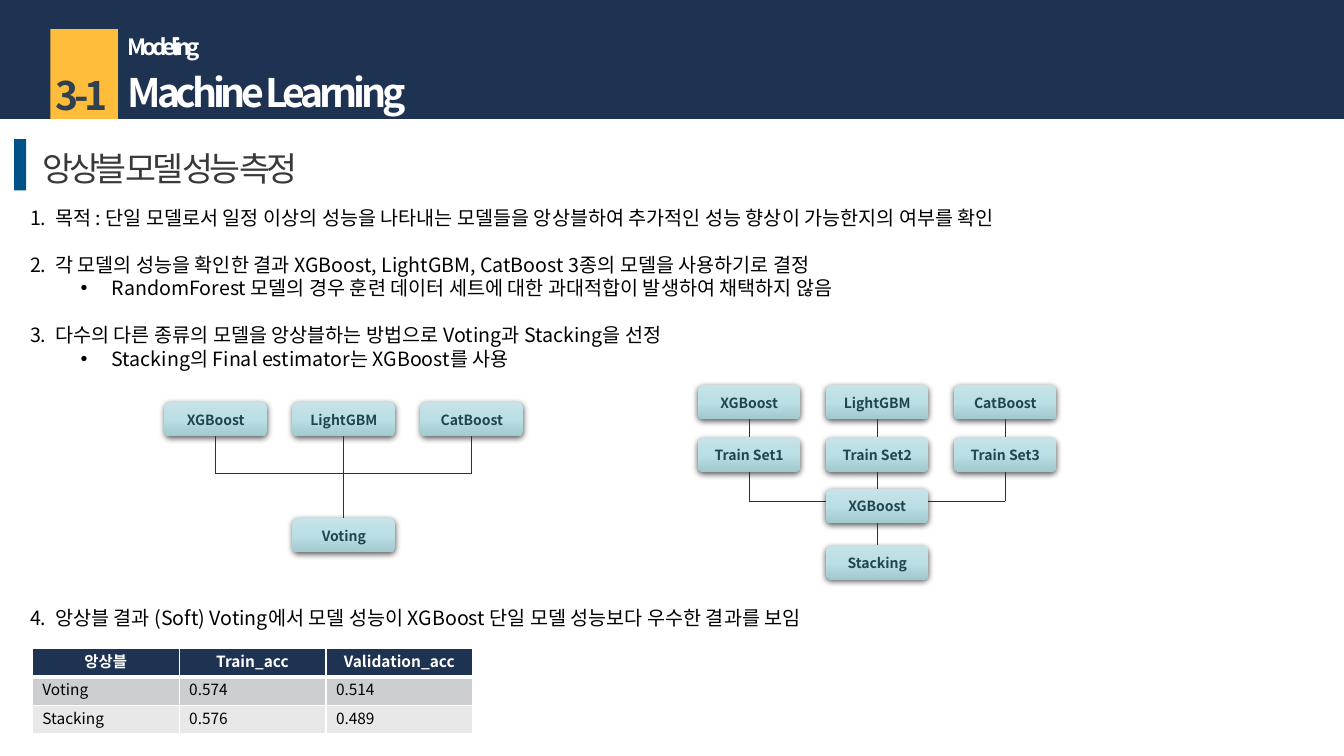
from lxml.etree import SubElement
from pptx import Presentation
from pptx.dml.color import RGBColor
from pptx.enum.shapes import MSO_CONNECTOR as Connector, MSO_SHAPE as Shape
from pptx.enum.text import MSO_ANCHOR as Anchor, MSO_AUTO_SIZE as AutoSize, PP_ALIGN as Align
from pptx.oxml import parse_xml
from pptx.oxml.ns import nsdecls, qn
from pptx.util import Inches, Pt

FONT = "Noto Sans CJK KR"
COLORS = {
    "navy": "1E3252", "amber": "FFBD3B", "accent": "005289", "white": "FFFFFF",
    "black": "000000", "title": "393939", "number": "30404F", "node_text": "20454E",
    "row_dark": "CDCED1", "row_light": "E8E8E9",
    "node_top": "C6E3E8", "node_middle": "BADFE5", "node_bottom": "A2C9CE",
}
SLIDE_W, SLIDE_H = 13.33, 7.5

# Grid of the model diagrams
NODE_W, NODE_H, COLUMN = 1.02, 0.34, 1.27
VOTING_LEFT, STACKING_LEFT = 1.63, 6.92
MODELS = ["XGBoost", "LightGBM", "CatBoost"]

# Findings: text, level, empty lines above
LINE = 16.8
FINDINGS = [
    ("목적 : 단일 모델로서 일정 이상의 성능을 나타내는 모델들을 앙상블하여 추가적인 성능 향상이 가능한지의 여부를 확인", 0, 0),
    ("각 모델의 성능을 확인한 결과 XGBoost, LightGBM, CatBoost 3종의 모델을 사용하기로 결정", 0, 1),
    ("RandomForest 모델의 경우 훈련 데이터 세트에 대한 과대적합이 발생하여 채택하지 않음", 1, 0),
    ("다수의 다른 종류의 모델을 앙상블하는 방법으로 Voting과 Stacking을 선정", 0, 1),
    ("Stacking의 Final estimator는 XGBoost를 사용", 1, 0),
    ("앙상블 결과 (Soft) Voting에서 모델 성능이 XGBoost 단일 모델 성능보다 우수한 결과를 보임", 0, 10),
]
SCORES = [
    ["앙상블", "Train_acc", "Validation_acc"],
    ["Voting", "0.574", "0.514"],
    ["Stacking", "0.576", "0.489"],
]


def rgb(name):
    return RGBColor.from_string(COLORS[name])


def style(paragraph, size, color, bold=False, align=Align.LEFT, spacing=0, leading=1.25):
    paragraph.alignment = align
    paragraph.line_spacing = Pt(size * leading)
    for run in paragraph.runs:
        run.font.size, run.font.bold, run.font.name = Pt(size), bold, FONT
        run.font.color.rgb = rgb(color)
        props = run.font._element
        SubElement(props, qn("a:ea")).set("typeface", FONT)
        if spacing:
            props.set("spc", str(spacing * 100))


def add_bar(slide, left, top, width, height, color):
    bar = slide.shapes.add_shape(
        Shape.RECTANGLE, Inches(left), Inches(top), Inches(width), Inches(height))
    bar.shadow.inherit = False
    bar.fill.solid()
    bar.fill.fore_color.rgb = rgb(color)
    bar.line.fill.background()


def add_label(slide, text, left, top, width, height, size, color, align=Align.LEFT):
    label = slide.shapes.add_textbox(
        Inches(left), Inches(top), Inches(width), Inches(height)).text_frame
    label.word_wrap = True
    label.text = text
    style(label.paragraphs[0], size, color, True, align, -3)


def set_title(slide, text):
    title = slide.shapes.title
    title.left, title.top = Inches(0.32), Inches(1.4)
    title.width, title.height = Inches(3.08), Inches(0.5)
    frame = title.text_frame
    frame.text = text
    frame.word_wrap, frame.auto_size = False, AutoSize.NONE
    frame.vertical_anchor = Anchor.TOP
    style(frame.paragraphs[0], 24, "title", spacing=-3)


def add_findings(slide):
    frame = slide.shapes.add_textbox(
        Inches(0.2), Inches(1.99), Inches(12.75), Inches(4.34)).text_frame
    frame.word_wrap = True
    for index, (text, level, gap) in enumerate(FINDINGS):
        finding = frame.add_paragraph() if index else frame.paragraphs[0]
        finding.text, finding.level = text, level
        finding.space_before = Pt(gap * LINE)
        style(finding, 14, "black", leading=1.2)
        props = finding._p.get_or_add_pPr()
        indent, hanging = (0.81, 0.31) if level else (0.25, 0.25)
        props.set("marL", str(Inches(indent)))
        props.set("indent", str(-Inches(hanging)))
        if level:
            SubElement(props, qn("a:buFont")).set("typeface", "Arial")
            SubElement(props, qn("a:buChar")).set("char", "•")
        else:
            SubElement(props, qn("a:buAutoNum")).set("type", "arabicPeriod")


def add_node(slide, text, left, column, top):
    node = slide.shapes.add_shape(
        Shape.ROUNDED_RECTANGLE, Inches(left + column * COLUMN), Inches(top),
        Inches(NODE_W), Inches(NODE_H))
    node.line.fill.background()
    stops = "".join(
        f'<a:gs pos="{pos}"><a:srgbClr val="{COLORS[name]}"/></a:gs>'
        for pos, name in [(0, "node_top"), (50000, "node_middle"), (100000, "node_bottom")])
    props = node._element.spPr
    props.insert(2, parse_xml(
        f'<a:gradFill {nsdecls("a")}><a:gsLst>{stops}</a:gsLst>'
        '<a:lin ang="5400000" scaled="0"/></a:gradFill>'))
    props.append(parse_xml(
        f'<a:effectLst {nsdecls("a")}><a:outerShdw blurRad="{Pt(4.5)}" dist="{Pt(1.5)}" '
        f'dir="5400000" rotWithShape="0"><a:srgbClr val="{COLORS["black"]}">'
        '<a:alpha val="63000"/></a:srgbClr></a:outerShdw></a:effectLst>'))
    frame = node.text_frame
    frame.text = text
    frame.word_wrap, frame.vertical_anchor = False, Anchor.MIDDLE
    style(frame.paragraphs[0], 10, "node_text", True, Align.CENTER)
    return node


def add_row(slide, names, left, top):
    return [add_node(slide, name, left, column, top) for column, name in enumerate(names)]


def add_line(slide, x1, y1, x2, y2):
    line = slide.shapes.add_connector(Connector.STRAIGHT, x1, y1, x2, y2)
    line.line.color.rgb, line.line.width = rgb("navy"), Pt(0.5)
    SubElement(line._element.spPr, qn("a:effectLst"))
    return line


def center(node):
    return node.left + node.width // 2


def link(slide, upper, lower):
    line = add_line(slide, center(upper), upper.top + upper.height, center(lower), lower.top)
    line.begin_connect(upper, 2)
    line.end_connect(lower, 0)


def add_rail(slide, first, last, level):
    """Drops from the two outer nodes to a common horizontal line."""
    for node in (first, last):
        drop = add_line(slide, center(node), node.top + node.height, center(node), Inches(level))
        drop.begin_connect(node, 2)
    add_line(slide, center(first), Inches(level), center(last), Inches(level))


def add_voting(slide):
    models = add_row(slide, MODELS, VOTING_LEFT, 3.99)
    add_rail(slide, models[0], models[2], 4.7)
    voting = add_node(slide, "Voting", VOTING_LEFT, 1, 5.14)
    link(slide, models[1], voting)


def add_stacking(slide):
    models = add_row(slide, MODELS, STACKING_LEFT, 3.82)
    train_sets = add_row(slide, [f"Train Set{n}" for n in (1, 2, 3)], STACKING_LEFT, 4.34)
    add_rail(slide, train_sets[0], train_sets[2], 4.97)
    estimator = add_node(slide, "XGBoost", STACKING_LEFT, 1, 4.85)
    stacking = add_node(slide, "Stacking", STACKING_LEFT, 1, 5.41)
    links = [*zip(models, train_sets), (train_sets[1], estimator), (estimator, stacking)]
    for upper, lower in links:
        link(slide, upper, lower)


def add_scores(slide):
    scores = slide.shapes.add_table(
        len(SCORES), len(SCORES[0]), Inches(0.32), Inches(6.43), Inches(4.37), Inches(0.85)).table
    for row, values in enumerate(SCORES):
        header = row == 0
        for column, value in enumerate(values):
            cell = scores.cell(row, column)
            cell.text = value
            style(cell.text_frame.paragraphs[0], 11, "white" if header else "black", header,
                  Align.CENTER if header else Align.LEFT, leading=1.2)
            for side in "LRTB":
                thick = (header and side == "B") or (row == 1 and side == "T")
                border = SubElement(cell._tc.get_or_add_tcPr(), qn(f"a:ln{side}"))
                border.set("w", str(Pt(3 if thick else 1)))
                fill = SubElement(border, qn("a:solidFill"))
                SubElement(fill, qn("a:srgbClr")).set("val", COLORS["white"])
            cell.fill.solid()
            cell.fill.fore_color.rgb = rgb(("navy", "row_dark", "row_light")[row])


def add_header(slide):
    add_bar(slide, 0, 0, SLIDE_W, 1.18, "navy")
    add_bar(slide, 0.5, 0.29, 0.67, 0.89, "amber")
    add_label(slide, "Machine Learning", 1.17, 0.61, 7.66, 0.57, 28, "white")
    add_label(slide, "Modeling", 1.17, 0.27, 5.5, 0.37, 16, "white")
    add_label(slide, "3-1", 0.38, 0.64, 0.86, 0.57, 28, "number", Align.CENTER)


def main():
    deck = Presentation()
    deck.slide_width, deck.slide_height = Inches(SLIDE_W), Inches(SLIDE_H)
    slide = deck.slides.add_slide(deck.slide_layouts[5])
    add_bar(slide, 0.14, 1.38, 0.12, 0.51, "accent")
    set_title(slide, "앙상블 모델 성능 측정")
    add_findings(slide)
    add_scores(slide)
    add_voting(slide)
    add_stacking(slide)
    add_header(slide)
    deck.save("out.pptx")


if __name__ == "__main__":
    main()
